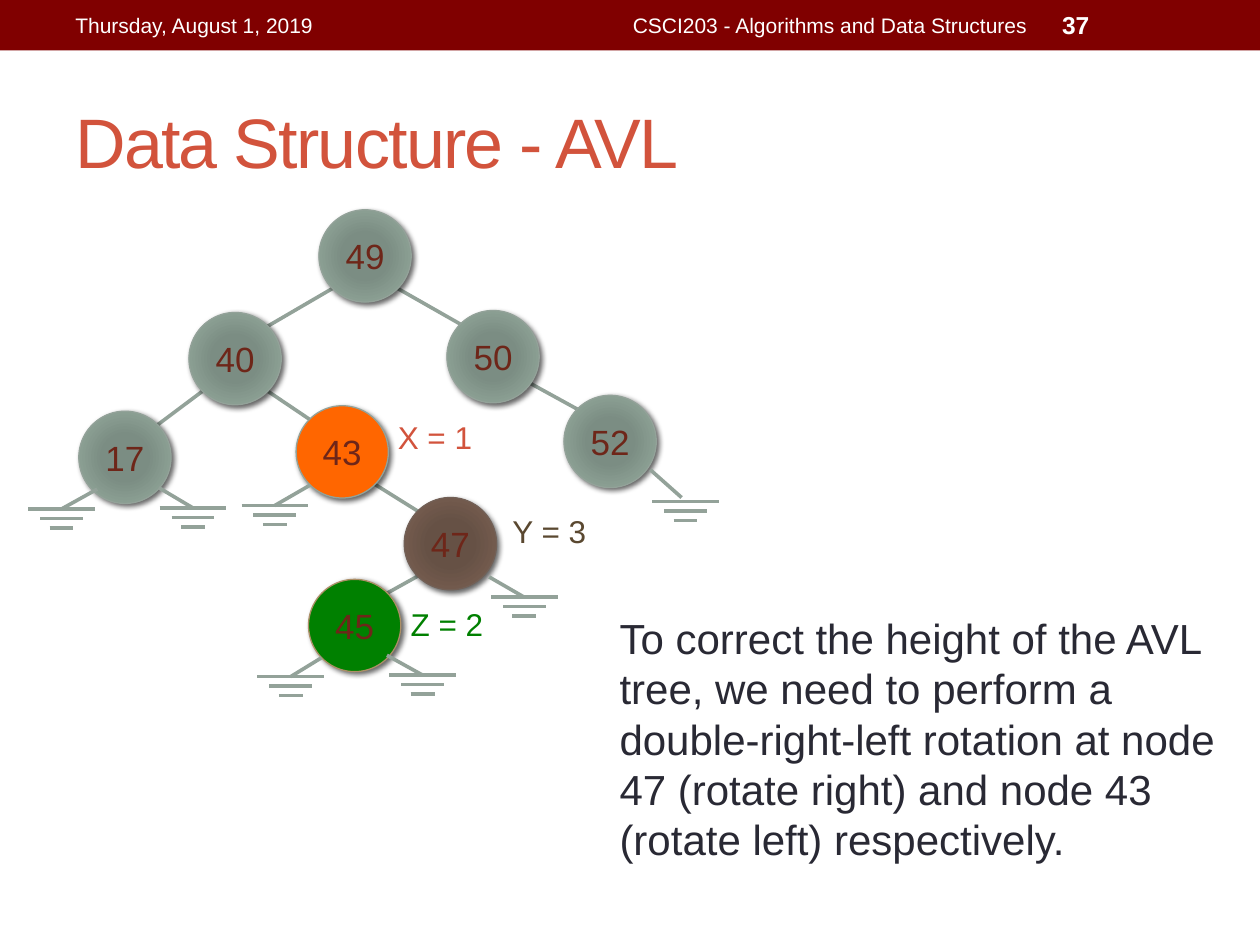
from pptx import Presentation
from pptx.dml.color import RGBColor
from pptx.enum import shapes, text
from pptx.oxml import parse_xml
from pptx.oxml.ns import nsdecls, qn
from pptx.util import Cm, Pt

WHITE = RGBColor(0xFF, 0xFF, 0xFF)
MAROON = RGBColor(0x80, 0x00, 0x00)
RED = RGBColor(0xD2, 0x53, 0x3C)
DARK_RED = RGBColor(0x6E, 0x26, 0x19)
SAGE = RGBColor(0x93, 0xA2, 0x99)
BROWN = RGBColor(0x72, 0x60, 0x56)
TAN = RGBColor(0xAD, 0x8F, 0x67)
ORANGE = RGBColor(0xFF, 0x66, 0x00)
GREEN = RGBColor(0x00, 0x80, 0x00)
OLIVE = RGBColor(0x5A, 0x48, 0x30)
INK = RGBColor(0x29, 0x29, 0x34)
SAGE_STOPS = ("7B8E82", "7B8D83", "8A9E92", "93A299")
BROWN_STOPS = ("685044", "665145", "725A4D", "726056")

SHADOW = (f'<a:outerShdw {nsdecls("a")} blurRad="38100" dist="25400" dir="2700000" '
          'rotWithShape="0"><a:srgbClr val="000000"><a:alpha val="60000"/>'
          '</a:srgbClr></a:outerShdw>')


def add_text(tree, box, words, size, color, wrap=True):
    """Add a text box at box (left, top, width, height in cm) and return it."""
    sp = tree.add_textbox(*(Cm(v) for v in box))
    tf = sp.text_frame
    tf.word_wrap = wrap
    tf.text = words
    r = tf.paragraphs[0].runs[0]
    r.font.name = "Arial"
    r.font.size = Pt(size)
    r.font.color.rgb = color
    return sp


def add_line(tree, x1, y1, x2, y2):
    cx = tree.add_connector(shapes.MSO_CONNECTOR.STRAIGHT, Cm(x1), Cm(y1), Cm(x2), Cm(y2))
    cx.line.color.rgb = SAGE
    cx.line.width = Pt(2.08)
    cx._element.spPr.append(parse_xml(f'<a:effectLst {nsdecls("a")}/>'))


prs = Presentation()
prs.slide_width, prs.slide_height = Cm(25.4), Cm(19.05)
s = prs.slides.add_slide(prs.slide_layouts[6])

# Header band and title
band = s.shapes.add_shape(shapes.MSO_SHAPE.RECTANGLE, 0, 0, prs.slide_width, Cm(1.02))
band.shadow.inherit = False
band.fill.solid()
band.fill.fore_color.rgb = MAROON
band.line.fill.background()

title = add_text(s.shapes, (1.27, 1.47, 22.86, 2.74), "Data Structure - AVL", 40, RED)
title.text_frame.paragraphs[0].runs[0].font._element.set("spc", "-100")
date = add_text(s.shapes, (1.27, 0.05, 8.05, 0.91), "Thursday, August 1, 2019", 12, WHITE)
course = add_text(s.shapes, (9.53, 0.05, 11.43, 0.91),
                  "CSCI203 - Algorithms and Data Structures", 12, WHITE)
course.text_frame.paragraphs[0].alignment = text.PP_ALIGN.RIGHT
number = add_text(s.shapes, (21.16, 0.05, 2.97, 0.91), "37", 14, WHITE)
number.text_frame.paragraphs[0].runs[0].font.bold = True
for sp in (title, date, course, number):
    sp.text_frame.vertical_anchor = text.MSO_ANCHOR.MIDDLE

# Tree: key -> left, top, fill (a colour or gradient stops), outline
SIZE = 1.86
nodes = {
    "17": (1.59, 8.29, SAGE_STOPS, SAGE),
    "43": (5.97, 8.18, ORANGE, SAGE),
    "52": (11.37, 7.97, SAGE_STOPS, SAGE),
    "50": (9.01, 6.26, SAGE_STOPS, SAGE),
    "49": (6.43, 4.23, SAGE_STOPS, SAGE),
    "40": (3.81, 6.3, SAGE_STOPS, SAGE),
    "47": (8.15, 10.03, BROWN_STOPS, BROWN),
    "45": (6.22, 11.68, GREEN, TAN),
}
edges = [("49", "40"), ("49", "50"), ("40", "17"), ("40", "43"), ("43", "47"), ("47", "45")]

tree = s.shapes.add_group_shape().shapes

# Edges run between the diagonal points of the two circles
near, far = 0.15 * SIZE, 0.85 * SIZE
for parent, child in edges:
    px, py = nodes[parent][:2]
    x, y = nodes[child][:2]
    out, into = (far, near) if x > px else (near, far)
    add_line(tree, px + out, py + far, x + into, y + near)
add_line(tree, 10.44, 7.59, 11.66, 8.26)  # 50 to 52 starts inside the circle

for key, (x, y, fill, outline) in nodes.items():
    sp = tree.add_shape(shapes.MSO_SHAPE.OVAL, Cm(x), Cm(y), Cm(SIZE), Cm(SIZE))
    sp.line.color.rgb = outline
    sp.line.width = Pt(0.75)
    sp.shadow.inherit = False
    spPr = sp._element.spPr
    spPr.find(qn("a:effectLst")).append(parse_xml(SHADOW))
    if isinstance(fill, RGBColor):
        sp.fill.solid()
        sp.fill.fore_color.rgb = fill
    else:
        sp.fill.gradient()
        stops = "".join(f'<a:gs pos="{pos}000"><a:srgbClr val="{c}"/></a:gs>'
                        for pos, c in zip((0, 34, 70, 100), fill))
        spPr.replace(spPr.find(qn("a:gradFill")), parse_xml(
            f'<a:gradFill {nsdecls("a")} rotWithShape="1"><a:gsLst>{stops}</a:gsLst>'
            '<a:path path="circle"><a:fillToRect l="100000" t="100000" r="100000" '
            'b="100000"/></a:path></a:gradFill>'))
    tf = sp.text_frame
    tf.word_wrap = False
    tf.vertical_anchor = text.MSO_ANCHOR.MIDDLE
    tf.text = key
    p = tf.paragraphs[0]
    p.alignment = text.PP_ALIGN.CENTER
    p.runs[0].font.name = "Arial"
    p.runs[0].font.size = Pt(20)
    p.runs[0].font.color.rgb = DARK_RED

# Empty subtrees: stem start, stem end, gap from stem end to the top bar
grounds = [
    (1.96, 9.86, 1.24, 10.26, 0),
    (3.2, 9.83, 3.89, 10.24, 0),
    (6.25, 9.78, 5.54, 10.19, 0),
    (13.11, 9.47, 13.74, 10.03, 0.08),
    (9.86, 11.63, 10.57, 12.04, 0),
    (6.48, 13.26, 5.86, 13.64, 0),
    (7.8, 13.21, 8.52, 13.61, 0),
]
for x1, y1, x2, y2, gap in grounds:
    add_line(tree, x1, y1, x2, y2)
    for i, half in enumerate((0.67, 0.43, 0.24)):
        mid, y = x2 + gap, y2 + gap + 0.19 * i
        add_line(tree, mid - half, y, mid + half, y)

for x, y, words, color in [(7.77, 8.31, "X = 1", RED),
                           (10.08, 10.19, "Y = 3", OLIVE),
                           (8.03, 12.07, "Z = 2", GREEN)]:
    add_text(tree, (x, y, 2, 1.02), words, 18, color, wrap=False)

note = add_text(s.shapes, (12.24, 12.22, 12.65, 5.38),
                "To correct the height of the AVL tree, we need to perform a "
                "double-right-left rotation at node 47 (rotate right) and node 43 "
                "(rotate left) respectively.", 24, INK)
note.text_frame.auto_size = text.MSO_AUTO_SIZE.SHAPE_TO_FIT_TEXT

prs.save("out.pptx")
